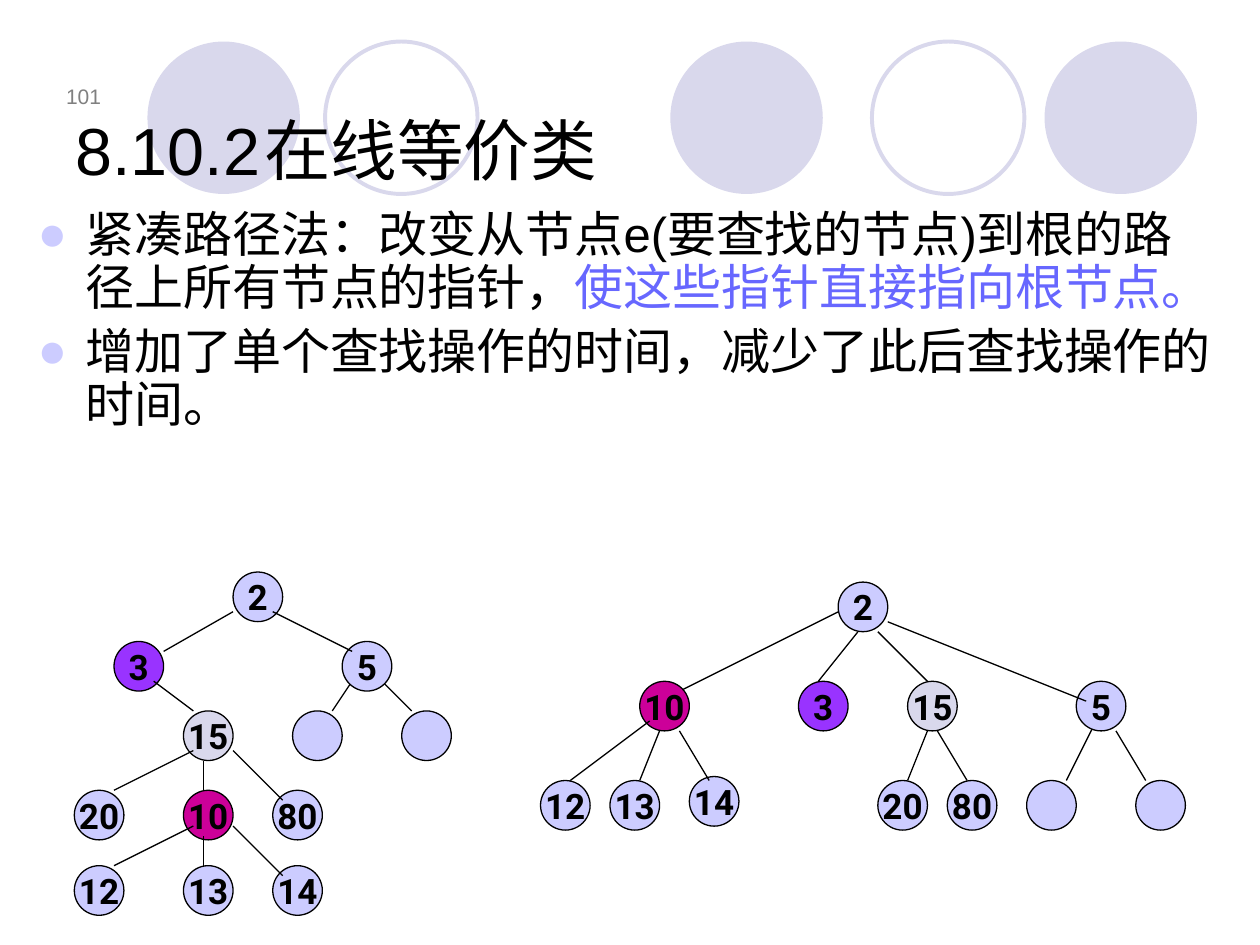
from typing import NamedTuple

from lxml.etree import SubElement
from pptx import Presentation
from pptx.dml.color import RGBColor
from pptx.enum.shapes import MSO_CONNECTOR, MSO_SHAPE
from pptx.enum.text import MSO_ANCHOR, PP_ALIGN
from pptx.oxml.ns import qn
from pptx.util import Inches, Pt

BLACK = RGBColor(0x00, 0x00, 0x00)
GREY = RGBColor(0x80, 0x80, 0x80)
MIST = RGBColor(0xD9, 0xD8, 0xEC)
LILAC = RGBColor(0xCC, 0xCC, 0xFF)
BLUE = RGBColor(0x67, 0x67, 0xFF)
VIOLET = RGBColor(0x99, 0x33, 0xFF)
MAGENTA = RGBColor(0xCC, 0x00, 0x99)

UNIT = Inches(10) / 127
NODE_SPAN = 5


class Disc(NamedTuple):
    left: float
    filled: bool


class Run(NamedTuple):
    text: str
    color: RGBColor = BLACK


class Node(NamedTuple):
    col: float
    row: float
    label: str = ""
    fill: RGBColor = LILAC


class Edge(NamedTuple):
    col1: float
    row1: float
    col2: float
    row2: float
    behind: bool = False


class Tree(NamedTuple):
    left: float
    top: float
    nodes: list[Node]
    edges: list[Edge]


DISCS = [Disc(5.32, True), Disc(8.29, True), Disc(1.17, True), Disc(6.92, False), Disc(2.58, False)]

BULLETS = [
    [Run("紧凑路径法：改变从节点e(要查找的节点)到根的路径上所有节点的指针，"),
     Run("使这些指针直接指向根节点。", BLUE)],
    [Run("增加了单个查找操作的时间，减少了此后查找操作的时间。")],
]

BEFORE = Tree(0.59, 4.54, [
    Node(16, 0, "2"),
    Node(4, 7, "3", VIOLET), Node(27, 7, "5"),
    Node(11, 14, "15", MIST), Node(22, 14), Node(33, 14),
    Node(0, 22, "20"), Node(11, 22, "10", MAGENTA), Node(20, 22, "80"),
    Node(0, 29.6, "12"), Node(11, 29.6, "13"), Node(20, 29.6, "14"),
], [
    Edge(9, 8, 16, 4), Edge(28, 8, 20, 4),
    Edge(12, 14, 8, 11), Edge(26, 14, 28, 11, True), Edge(34, 14, 31, 11, True),
    Edge(4, 22, 12, 18), Edge(13, 22, 13, 19), Edge(21, 23, 16, 18),
    Edge(4, 29.6, 12, 25.6), Edge(13, 29.6, 13, 26.6), Edge(21, 30.6, 16, 25.6),
])

AFTER = Tree(4.29, 4.62, [
    Node(30, 0, "2"),
    Node(10, 10, "10", MAGENTA), Node(26, 10, "3", VIOLET),
    Node(37, 10, "15", MIST), Node(54, 10, "5"),
    Node(0, 20, "12"), Node(7, 20, "13"), Node(15, 19.6, "14"),
    Node(34, 20, "20"), Node(41, 20, "80"), Node(49, 20), Node(60, 20),
], [
    Edge(14, 11, 30, 3, True), Edge(28, 10, 32, 5), Edge(39, 10, 34, 5), Edge(55, 12, 35, 4),
    Edge(3, 20, 11, 14), Edge(10, 20, 12, 15), Edge(17, 20, 14, 15),
    Edge(37, 20, 39, 15), Edge(43, 20, 40, 15),
    Edge(53, 20, 56, 14, True), Edge(61, 20, 58, 15),
])


def add_run(p, text: str, size: float, color: RGBColor, font: str = "Arial", bold: bool = False) -> None:
    r = p.add_run()
    r.text = text
    r.font.size = Pt(size)
    r.font.name = font
    r.font.bold = bold
    r.font.color.rgb = color


def add_box(s, left: float, top: float, width: float, height: float, anchor: MSO_ANCHOR):
    tf = s.shapes.add_textbox(Inches(left), Inches(top), Inches(width), Inches(height)).text_frame
    tf.word_wrap = True
    tf.vertical_anchor = anchor
    return tf


def add_disc(s, disc: Disc) -> None:
    side = Inches(1.21)
    sp = s.shapes.add_shape(MSO_SHAPE.OVAL, Inches(disc.left), Inches(0.33), side, side)
    sp.shadow.inherit = False
    if disc.filled:
        sp.fill.solid()
        sp.fill.fore_color.rgb = MIST
        sp.line.fill.background()
    else:
        sp.fill.background()
        sp.line.color.rgb = MIST
        sp.line.width = Pt(2.25)


def add_bullet(p, runs: list[Run]) -> None:
    pPr = p._p.get_or_add_pPr()
    pPr.set("marL", str(Inches(0.38)))
    pPr.set("indent", str(-Inches(0.38)))
    p.line_spacing = 0.9
    color = SubElement(pPr, qn("a:buClr"))
    SubElement(color, qn("a:srgbClr")).set("val", str(LILAC))
    SubElement(pPr, qn("a:buFont")).set("typeface", "Arial")
    SubElement(pPr, qn("a:buChar")).set("char", "●")
    for run in runs:
        add_run(p, run.text, 28, run.color)


def add_tree(s, tree: Tree) -> None:
    def x(col: float) -> int:
        return round(Inches(tree.left) + col * UNIT)

    def y(row: float) -> int:
        return round(Inches(tree.top) + row * UNIT)

    def add_edges(behind: bool) -> None:
        for e in tree.edges:
            if e.behind == behind:
                line = s.shapes.add_connector(
                    MSO_CONNECTOR.STRAIGHT, x(e.col1), y(e.row1), x(e.col2), y(e.row2))
                line.line.color.rgb = BLACK
                line.line.width = Pt(0.75)
                SubElement(line._element.spPr, qn("a:effectLst"))

    add_edges(True)
    side = round(NODE_SPAN * UNIT)
    for node in tree.nodes:
        sp = s.shapes.add_shape(MSO_SHAPE.OVAL, x(node.col), y(node.row), side, side)
        sp.shadow.inherit = False
        sp.fill.solid()
        sp.fill.fore_color.rgb = node.fill
        sp.line.color.rgb = BLACK
        sp.line.width = Pt(0.75)
        if node.label:
            tf = sp.text_frame
            tf.word_wrap = False
            tf.vertical_anchor = MSO_ANCHOR.MIDDLE
            p = tf.paragraphs[0]
            p.alignment = PP_ALIGN.CENTER
            add_run(p, node.label, 20, BLACK, "Roboto", True)
    add_edges(False)


def main() -> None:
    """Build the slide on path compaction in online equivalence classes."""
    prs = Presentation()
    prs.slide_width, prs.slide_height = Inches(10), Inches(7.5)
    s = prs.slides.add_slide(prs.slide_layouts[6])
    for disc in DISCS:
        add_disc(s, disc)

    p = add_box(s, 0.35, 0.44, 0.55, 0.47, MSO_ANCHOR.BOTTOM).paragraphs[0]
    p.alignment = PP_ALIGN.RIGHT
    add_run(p, "101", 12, GREY)

    p = add_box(s, 0.5, 0.3, 9, 1.25, MSO_ANCHOR.BOTTOM).paragraphs[0]
    add_run(p, "8.10.2\t在线等价类", 38, BLACK)

    tf = add_box(s, 0.2, 1.62, 9.53, 2.52, MSO_ANCHOR.TOP)
    for i, runs in enumerate(BULLETS):
        p = tf.add_paragraph() if i else tf.paragraphs[0]
        if i:
            p.space_before = Pt(6)
        add_bullet(p, runs)

    for tree in (BEFORE, AFTER):
        add_tree(s, tree)
    prs.save("out.pptx")


if __name__ == "__main__":
    main()
